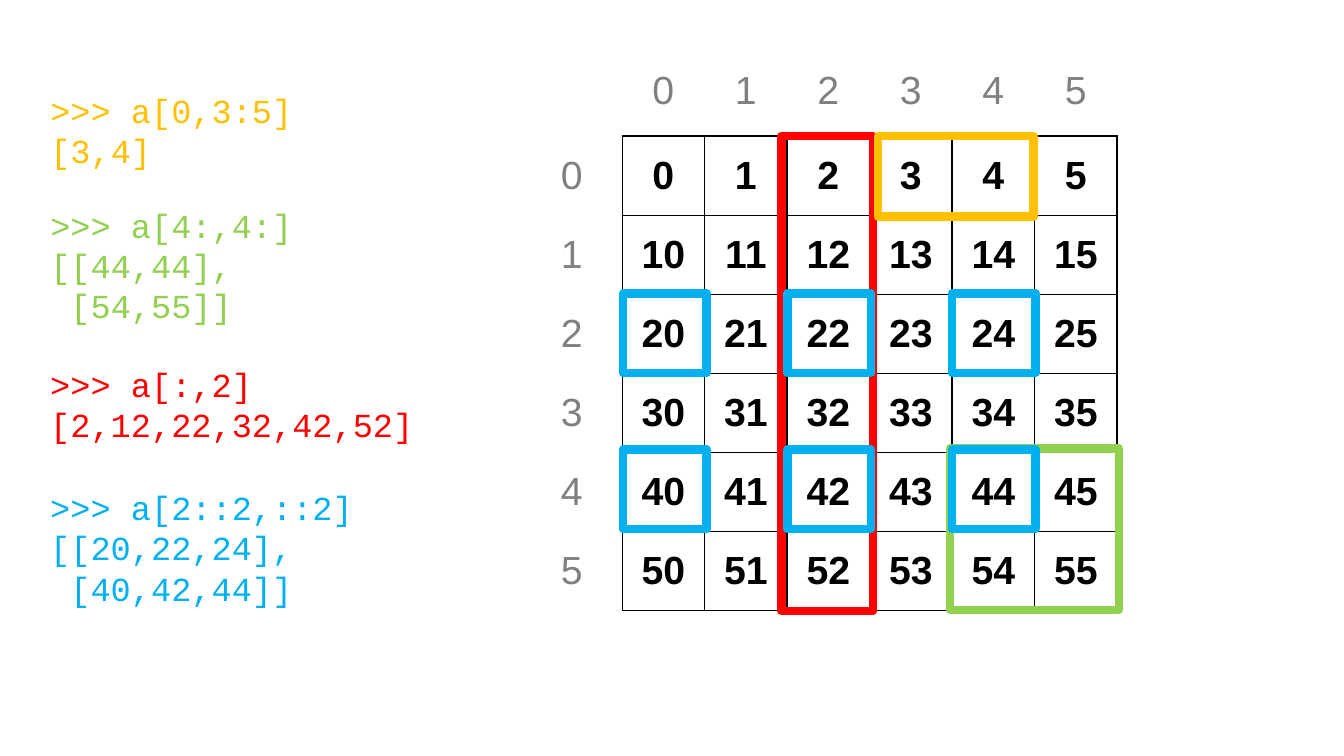
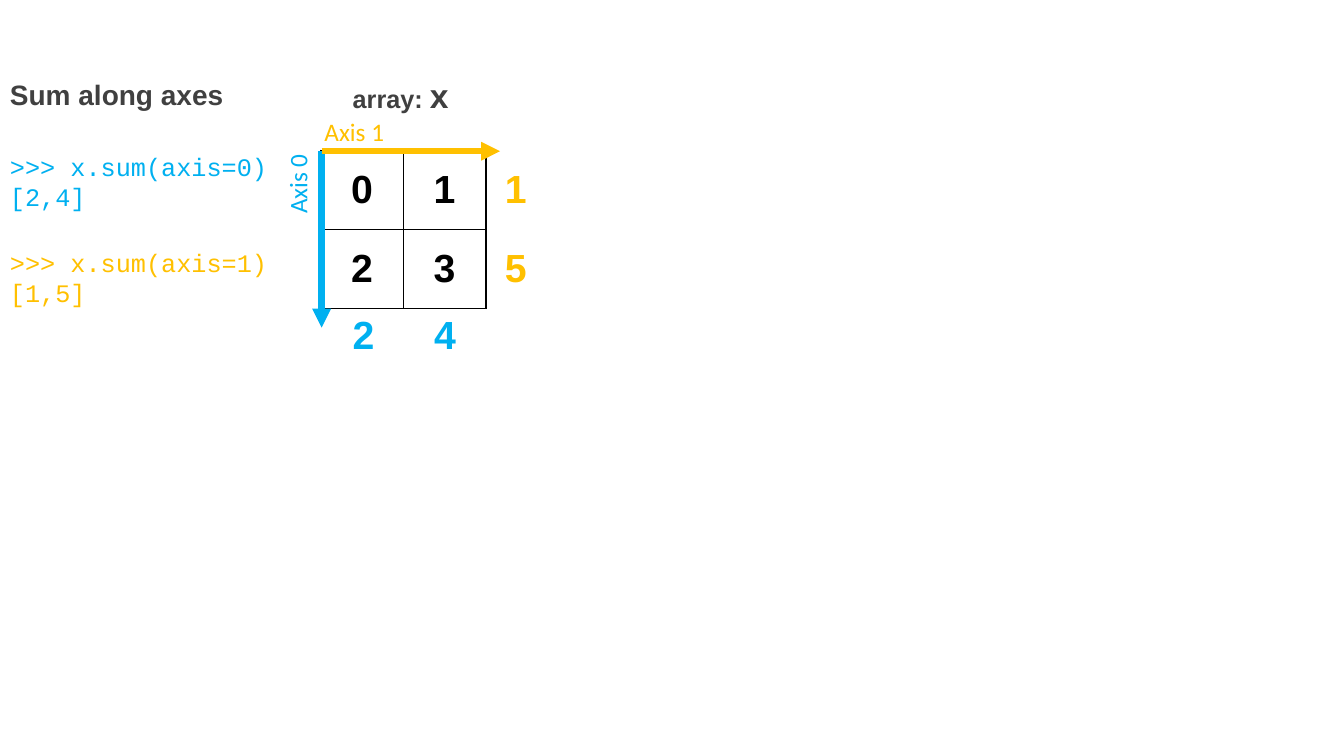
from itertools import product

from lxml.etree import SubElement as Sub
from pptx import Presentation
from pptx.dml.color import RGBColor as Rgb
from pptx.enum.shapes import MSO_CONNECTOR as Link, MSO_SHAPE as Form
from pptx.enum.text import MSO_ANCHOR as Anchor, MSO_AUTO_SIZE as Fit, PP_ALIGN as Align
from pptx.oxml import parse_xml
from pptx.oxml.ns import nsdecls, qn
from pptx.util import Inches, Pt

BLACK = Rgb(0x00, 0x00, 0x00)
DARK = Rgb(0x40, 0x40, 0x40)
GRAY = Rgb(0x80, 0x80, 0x80)
RED = Rgb(0xFF, 0x00, 0x00)
GOLD = Rgb(0xFF, 0xC0, 0x00)
GREEN = Rgb(0x92, 0xD0, 0x50)
BLUE = Rgb(0x00, 0xB0, 0xF0)
SANS, MONO, BODY = "Arial", "Courier New", "Calibri"


def add_run(para, text, font, size, color, bold=False):
    run = para.add_run()
    run.text = text
    run.font.name = font
    run.font.size = Pt(size)
    run.font.bold = bold
    run.font.color.rgb = color


def add_text(slide, box, lines, turn=0):
    shape = slide.shapes.add_textbox(*map(Inches, box))
    shape.rotation = turn
    frame = shape.text_frame
    frame.word_wrap = False
    frame.auto_size = Fit.SHAPE_TO_FIT_TEXT
    for i, runs in enumerate(lines):
        para = frame.add_paragraph() if i else frame.paragraphs[0]
        for run in runs:
            add_run(para, *run)


def add_code(slide, box, lines, size, color):
    add_text(slide, box, [[(line, MONO, size, color)] for line in lines])


def set_edge(cell, ruled):
    props = cell._tc.get_or_add_tcPr()
    paint = '<a:solidFill><a:srgbClr val="000000"/></a:solidFill>' if ruled else "<a:noFill/>"
    for i, side in enumerate("LRTB"):
        props.insert(i, parse_xml(f'<a:ln{side} {nsdecls("a")} w="12700">{paint}</a:ln{side}>'))


def add_grid(slide, box, rows, color, bold=False, ruled=False):
    left, top, width, height = box
    high, wide = len(rows), len(rows[0])
    table = slide.shapes.add_table(high, wide, *map(Inches, box)).table
    table.first_row = table.horz_banding = False
    for col in table.columns:
        col.width = Inches(width / wide)
    for row in table.rows:
        row.height = Inches(height / high)
    for r, c in product(range(high), range(wide)):
        cell = table.cell(r, c)
        cell.fill.background()
        cell.vertical_anchor = Anchor.MIDDLE
        cell.margin_left = cell.margin_right = Inches(0.08)
        cell.margin_top = cell.margin_bottom = Inches(0.04)
        para = cell.text_frame.paragraphs[0]
        para.alignment = Align.CENTER
        add_run(para, str(rows[r][c]), SANS, 28, color, bold)
        set_edge(cell, ruled)


def add_frame(slide, box, color):
    shape = slide.shapes.add_shape(Form.RECTANGLE, *map(Inches, box))
    shape.shadow.inherit = False
    shape.fill.background()
    shape.line.color.rgb = color
    shape.line.width = Pt(6)


def add_arrow(slide, ends, color):
    line = slide.shapes.add_connector(Link.STRAIGHT, *map(Inches, ends))
    line.line.color.rgb = color
    line.line.width = Pt(4.5)
    Sub(line.line._get_or_add_ln(), qn("a:tailEnd"), type="triangle")
    Sub(line._element.spPr, qn("a:effectLst"))


def draw_matrix(slide, box):
    left, top, width, height = box
    span = range(6)
    add_grid(slide, box, [[10 * r + c for c in span] for r in span], BLACK, True, True)
    add_grid(slide, (left - 0.91, top, 0.82, height), [[r] for r in span], GRAY)
    add_grid(slide, (left, top - 0.84, width, 0.78), [span], GRAY)
    marks = [
        (1.58, 0, 0.91, height, RED),
        (2.54, 0, 1.54, 0.8, GOLD),
        (3.25, 3.1, 1.68, 1.6, GREEN),
    ]
    marks += [
        (0.01 + 1.63 * c, 1.56 + 1.55 * r, 0.83, 0.79, BLUE)
        for r, c in product(range(2), range(3))
    ]
    for x, y, w, h, color in marks:
        add_frame(slide, (left + x, top + y, w, h), color)


def draw_slices(slide, box):
    left, top = box
    parts = [
        (0, 2.62, 0.91, GOLD, [">>> a[0,3:5]", "[3,4]"]),
        (1.14, 2.62, 1.31, GREEN, [">>> a[4:,4:]", "[[44,44],", " [54,55]]"]),
        (2.72, 3.83, 0.91, RED, [">>> a[:,2]", "[2,12,22,32,42,52]"]),
        (3.94, 3.23, 1.31, BLUE, [">>> a[2::2,::2]", "[[20,22,24],", " [40,42,44]]"]),
    ]
    for y, w, h, color, lines in parts:
        add_code(slide, (left, top + y, w, h), lines, 24, color)


def draw_sums(slide, box):
    left, top, width, height = box
    add_grid(slide, box, [[0, 1], [2, 3]], BLACK, True, True)
    x, y = left + 0.01, top + 0.01
    add_arrow(slide, (x, y, x, top + 1.76), BLUE)
    add_arrow(slide, (x, y, left + 1.78, y), GOLD)
    add_text(slide, (left - 0.06, top - 0.39, 0.8, 0.4), [[("Axis 1", BODY, 18, GOLD)]])
    add_text(slide, (left - 0.63, top + 0.13, 0.8, 0.4), [[("Axis 0", BODY, 18, BLUE)]], 270)
    add_grid(slide, (left + width, top, 0.59, height), [[1], [5]], GOLD, True)
    add_grid(slide, (left + 0.02, top + height, 1.62, 0.55), [[2, 4]], BLUE, True)
    name = [("array: ", SANS, 18, DARK, True), ("x", SANS, 24, DARK, True)]
    add_text(slide, (left + 0.22, top - 0.8, 1.16, 0.5), [name])


def draw_calls(slide, box):
    left, top = box
    add_text(slide, (left, top, 2.34, 0.44), [[("Sum along axes", SANS, 20, DARK, True)]])
    for y, axis, total, color in [(0.73, 0, "[2,4]", BLUE), (1.68, 1, "[1,5]", GOLD)]:
        lines = [f">>> x.sum(axis={axis})", total]
        add_code(slide, (left, top + y, 2.79, 0.71), lines, 18, color)


def main():
    deck = Presentation()
    deck.slide_width, deck.slide_height = Inches(13.33), Inches(7.5)
    blank = deck.slide_layouts[6]
    slide = deck.slides.add_slide(blank)
    draw_matrix(slide, (6.17, 1.35, 4.91, 4.71))
    draw_slices(slide, (0.4, 0.84))
    slide = deck.slides.add_slide(blank)
    draw_sums(slide, (3.18, 1.49, 1.64, 1.57))
    draw_calls(slide, (0, 0.72))
    deck.save("out.pptx")


if __name__ == "__main__":
    main()
